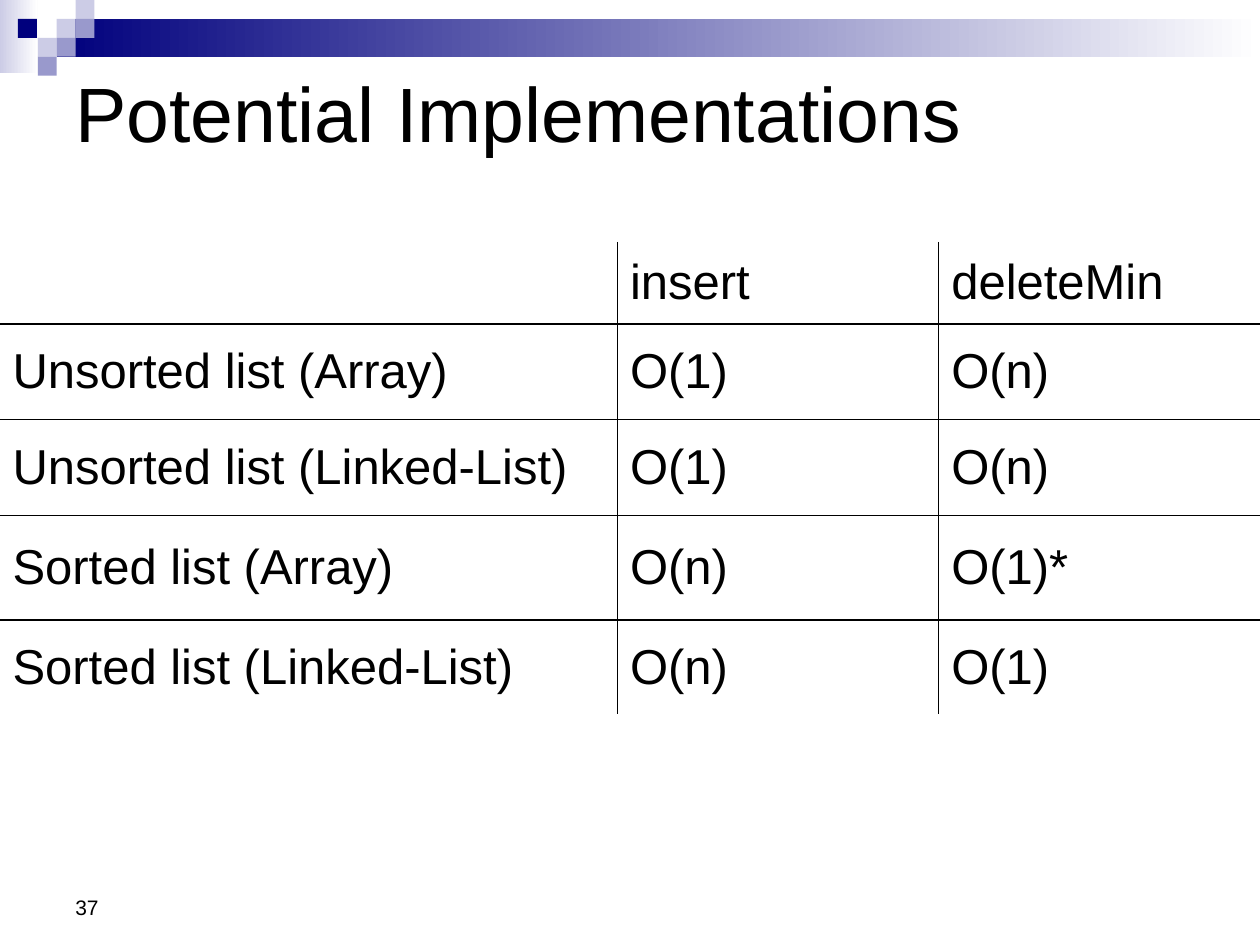
from dataclasses import dataclass

from lxml import etree
from pptx import Presentation, util as u
from pptx.dml.color import RGBColor
from pptx.enum import shapes, text
from pptx.oxml.ns import qn


@dataclass(frozen=True)
class Theme:
    font: str = "Arial"
    ink: str = "000000"
    navy: str = "00007D"
    mid: str = "9999CC"
    pale: str = "CCCCE6"
    white: str = "FFFFFF"
    title: int = 44
    body: int = 28
    small: int = 12
    rule: int = 1


THEME = Theme()
WIDE, HIGH = 10, 7.5
TILE = 0.15  # side of one square in the corner pattern

# column, row, colour of each square
TILES = [
    (3, 1, THEME.pale), (4, 0, THEME.pale), (4, 1, THEME.mid),
    (2, 2, THEME.pale), (0.95, 1, THEME.navy), (3, 2, THEME.mid),
    (2, 3, THEME.mid),
]
COLS = [4.9, 2.55, 2.55]
ROWS = [0.65, 0.76, 0.76, 0.83, 0.75]
COSTS = [
    ("", "insert", "deleteMin"),
    ("Unsorted list (Array)", "O(1)", "O(n)"),
    ("Unsorted list (Linked-List)", "O(1)", "O(n)"),
    ("Sorted list (Array)", "O(n)", "O(1)*"),
    ("Sorted list (Linked-List)", "O(n)", "O(1)"),
]


def inches(box):
    return [u.Inches(side) for side in box]


def write(frame, words, size):
    para = frame.paragraphs[0]
    para.text = words
    para.font.name = THEME.font
    para.font.size = u.Pt(size)
    para.font.color.rgb = RGBColor.from_string(THEME.ink)


def block(slide, box, tint, fade=None):
    """Draw a plain rectangle, fading left to right if a second colour is given."""
    rect = slide.shapes.add_shape(shapes.MSO_SHAPE.RECTANGLE, *inches(box))
    rect.shadow.inherit = False
    rect.line.fill.background()
    if fade:
        rect.fill.gradient()
        rect.fill.gradient_angle = 0
        for stop, hue in zip(rect.fill.gradient_stops, (tint, fade)):
            stop.color.rgb = RGBColor.from_string(hue)
    else:
        rect.fill.solid()
        rect.fill.fore_color.rgb = RGBColor.from_string(tint)


def banner(slide, box):
    left, top, wide, high = box
    block(slide, (left, top, 2 * TILE, high), THEME.pale, THEME.white)
    bar = 3 * TILE
    block(slide, (left + bar, top + TILE, wide - bar, 2 * TILE),
          THEME.navy, THEME.white)
    for col, row, tint in TILES:
        block(slide, (left + col * TILE, top + row * TILE, TILE, TILE), tint)


def label(slide, box, words, size, anchor):
    frame = slide.shapes.add_textbox(*inches(box)).text_frame
    frame.word_wrap = True
    frame.vertical_anchor = anchor
    write(frame, words, size)


def border(cell, edges):
    """Rule the cell's edges: a dict from edge tag to whether it shows."""
    props = cell._tc.get_or_add_tcPr()
    for spot, (edge, shown) in enumerate(edges.items()):
        line = etree.Element(qn(f"a:{edge}"), w=str(u.Pt(THEME.rule)))
        if shown:
            fill = etree.SubElement(line, qn("a:solidFill"))
            etree.SubElement(fill, qn("a:srgbClr"), val=THEME.ink)
        else:
            etree.SubElement(line, qn("a:noFill"))
        props.insert(spot, line)


def matrix(slide, box):
    """Place the cost table, ruled between cells but open at its outer edge."""
    left, top, wide, high = box
    grid = slide.shapes.add_table(len(ROWS), len(COLS), *inches(box)).table
    grid.first_row = grid.horz_banding = False
    for col, part in zip(grid.columns, COLS):
        col.width = u.Inches(wide * part / sum(COLS))
    for row, part in zip(grid.rows, ROWS):
        row.height = u.Inches(high * part / sum(ROWS))
    for y, line in enumerate(COSTS):
        for x, words in enumerate(line):
            cell = grid.cell(y, x)
            cell.vertical_anchor = text.MSO_ANCHOR.MIDDLE
            cell.fill.background()
            write(cell.text_frame, words, THEME.body)
            border(cell, {
                "lnL": x > 0, "lnR": x < len(COLS) - 1,
                "lnT": y > 0, "lnB": y < len(ROWS) - 1,
            })


def main():
    deck = Presentation()
    deck.slide_width, deck.slide_height = inches((WIDE, HIGH))
    slide = deck.slides.add_slide(deck.slide_layouts[6])
    edge = 0.05 * WIDE
    banner(slide, (0, 0, WIDE, 0.58))
    label(slide, (edge, 0.91 * HIGH, 2.33, 0.07 * HIGH), "37",
          THEME.small, text.MSO_ANCHOR.BOTTOM)
    label(slide, (edge, 0.08, WIDE - edge, 1.62), "Potential Implementations",
          THEME.title, text.MSO_ANCHOR.MIDDLE)
    matrix(slide, (0, 1.92, WIDE, sum(ROWS)))
    deck.save("out.pptx")


if __name__ == "__main__":
    main()
